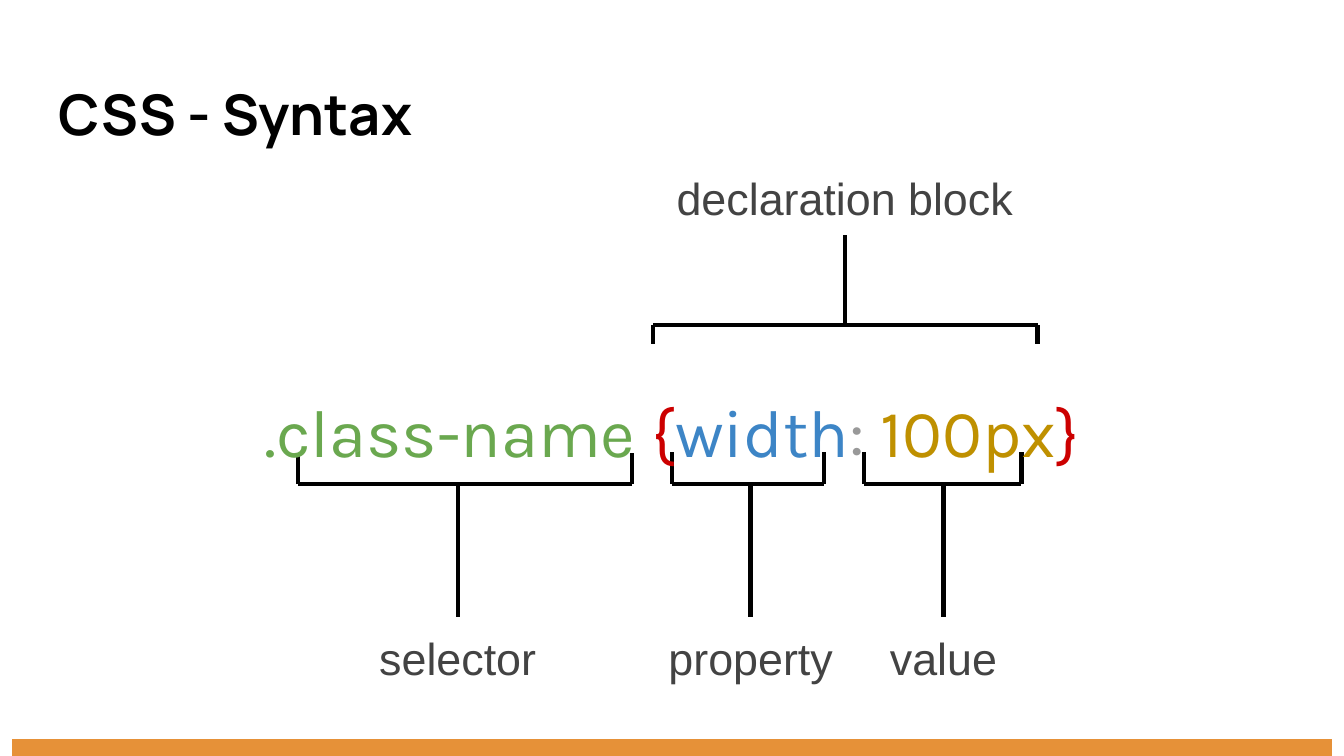
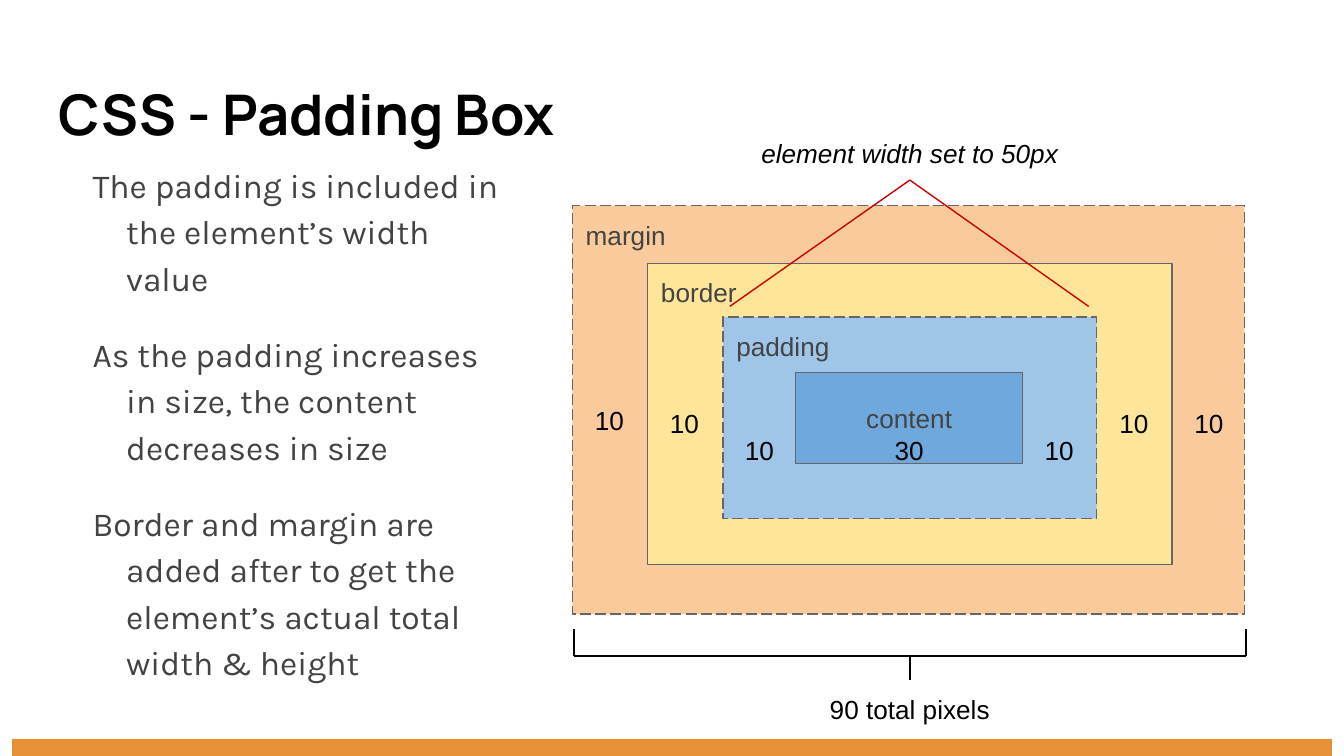
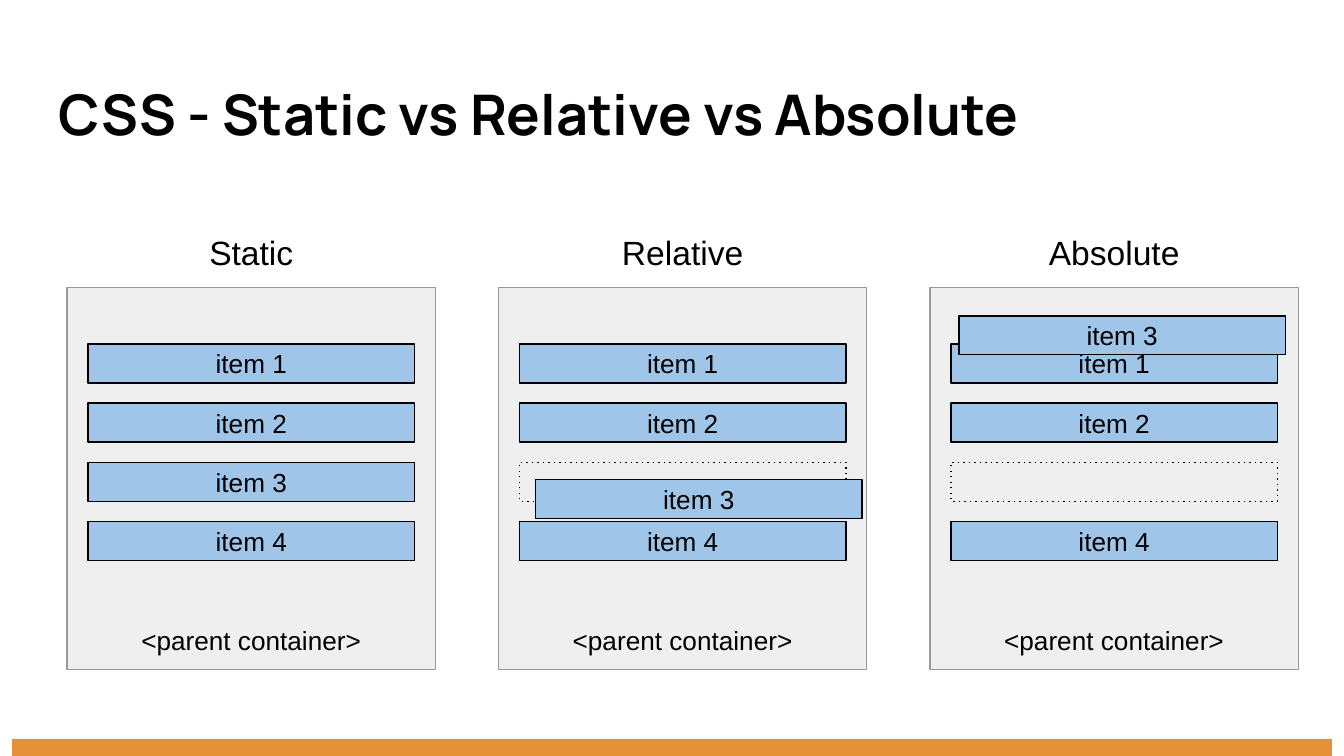
from dataclasses import dataclass

from lxml import etree
from pptx import Presentation
from pptx import util as u
from pptx.dml.color import RGBColor
from pptx.enum import shapes, text
from pptx.oxml import ns


@dataclass(frozen=True)
class Theme:
    black: str = "000000"
    body: str = "434343"
    accent: str = "E69138"
    edge: str = "666666"
    frame: str = "999999"
    panel: str = "EFEFEF"
    red: str = "CC0000"
    green: str = "6AA84F"
    blue: str = "3D85C6"
    gold: str = "BF9000"
    margin: str = "F9CB9C"
    border: str = "FFE599"
    padding: str = "9FC5E8"
    content: str = "6FA8DC"
    title_font: str = "Manrope"
    body_font: str = "Karla"
    label_font: str = "Arial"
    title_size: int = 30
    code_size: int = 36
    term_size: int = 24
    body_size: int = 18
    label_size: int = 14
    thick: float = 2.25
    thin: float = 0.75


T = Theme()
LEFT, CENTER = text.PP_ALIGN.LEFT, text.PP_ALIGN.CENTER
TOP, MIDDLE, BOTTOM = text.MSO_ANCHOR.TOP, text.MSO_ANCHOR.MIDDLE, text.MSO_ANCHOR.BOTTOM
SOLID, DASH, DOT = "solid", "lgDash", "dot"
TOP_SIDE, BOTTOM_SIDE = 0, 2

CODE = [
    (".class-name ", T.green),
    ("{", T.red),
    ("width", T.blue),
    (": ", T.frame),
    ("100px", T.gold),
    ("}", T.red),
]
TERMS = [
    ("selector", (2.41, 4.59, 1.99, 0.64), TOP_SIDE, (2.22, 4.7, 3.6, 3.37)),
    ("declaration block", (4.91, 1.17, 2.75, 0.58), BOTTOM_SIDE, (4.86, 7.72, 2.42, 2.56)),
    ("value", (6.44, 4.59, 1.16, 0.64), TOP_SIDE, (6.43, 7.6, 3.6, 3.36)),
    ("property", (4.66, 4.59, 1.85, 0.64), TOP_SIDE, (5, 6.13, 3.6, 3.36)),
]

PADDING_NOTES = [
    "The padding is included in the element’s width value",
    "As the padding increases in size, the content decreases in size",
    "Border and margin are added after to get the element’s actual total width & height",
]
LAYERS = [
    ("margin", (4.26, 1.53, 5, 3.04), T.margin, DASH, LEFT, TOP),
    ("border", (4.82, 1.96, 3.9, 2.24), T.border, SOLID, LEFT, TOP),
    ("padding", (5.38, 2.36, 2.78, 1.5), T.padding, DASH, LEFT, TOP),
    ("content", (5.92, 2.77, 1.69, 0.68), T.content, SOLID, CENTER, MIDDLE),
]
WIDTHS = [
    ("10", 0, 2.91),
    ("10", 1, 2.93),
    ("10", 2, 3.13),
    ("30", 4, 3.13),
    ("10", 6, 3.13),
    ("10", 7, 2.93),
    ("10", 8, 2.93),
]

POSITIONS = [("Static", None), ("Relative", (0.12, 0.13)), ("Absolute", (0.06, -1.09))]
ITEMS = ["item 1", "item 2", "item 3", "item 4"]
MOVED = "item 3"


def rgb(color):
    return RGBColor.from_string(color)


def inches(values):
    return [u.Inches(value) for value in values]


def write(box, paragraphs, font, size, align=LEFT, anchor=TOP, bold=None, italic=None,
          spacing=None, after=None, hanging=False):
    frame = box.text_frame
    frame.word_wrap = True
    frame.vertical_anchor = anchor
    frame.margin_left = frame.margin_right = u.Inches(0.1)
    frame.margin_top = frame.margin_bottom = u.Inches(0.1)
    for index, runs in enumerate(paragraphs):
        para = frame.add_paragraph() if index else frame.paragraphs[0]
        para.alignment = align
        if spacing:
            para.line_spacing = spacing
        if after:
            para.space_after = u.Pt(after)
        if hanging:
            properties = para._p.get_or_add_pPr()
            properties.set("marL", str(u.Inches(0.5)))
            properties.set("indent", str(u.Inches(-0.25)))
        for words, color in runs:
            span = para.add_run()
            span.text = words
            span.font.name = font
            span.font.size = u.Pt(size)
            span.font.bold = bold
            span.font.italic = italic
            span.font.color.rgb = rgb(color)


def add_text(page, at, paragraphs, font, size, **style):
    box = page.shapes.add_textbox(*inches(at))
    write(box, paragraphs, font, size, **style)
    return box


def add_label(page, at, words, size=T.label_size, color=T.black, **style):
    return add_text(page, at, [[(words, color)]], T.label_font, size, align=CENTER, **style)


def add_rect(parent, at, fill=None, edge=None, dash=SOLID, words=None, color=T.black,
             align=CENTER, anchor=MIDDLE):
    box = parent.shapes.add_shape(shapes.MSO_SHAPE.RECTANGLE, *inches(at))
    box.shadow.inherit = False
    if fill:
        box.fill.solid()
        box.fill.fore_color.rgb = rgb(fill)
    else:
        box.fill.background()
    if edge:
        box.line.color.rgb = rgb(edge)
        box.line.width = u.Pt(T.thin)
        outline = box._element.spPr.find(ns.qn("a:ln"))
        etree.SubElement(outline, ns.qn("a:prstDash"), val=dash)
    else:
        box.line.fill.background()
    if words:
        write(box, [[(words, color)]], T.label_font, T.label_size, align=align, anchor=anchor)
    return box


def add_line(page, start, end, color=T.black, width=T.thin):
    line = page.shapes.add_connector(shapes.MSO_CONNECTOR.STRAIGHT, *inches(start + end))
    line.line.color.rgb = rgb(color)
    line.line.width = u.Pt(width)
    etree.SubElement(line._element.spPr, ns.qn("a:effectLst"))
    return line


def add_bracket(page, span, label, side, width):
    left, right, bar, tip = span
    stem = (label.left + label.width / 2) / u.Inches(1)
    add_line(page, (left, bar), (right, bar), width=width)
    for end in (left, right):
        add_line(page, (end, bar), (end, tip), width=width)
    add_line(page, (stem, bar), (stem, bar), width=width).end_connect(label, side)


def add_page(deck, title):
    page = deck.slides.add_slide(deck.slide_layouts[6])
    add_rect(page, (0.09, 5.5, 9.82, 0.13), T.accent)
    add_text(page, (0.34, 0.49, 9.32, 0.68), [[(title, T.black)]],
             T.title_font, T.title_size, bold=True)
    return page


def syntax_page(deck):
    page = add_page(deck, "CSS - Syntax")
    for words, at, side, span in TERMS:
        label = add_label(page, at, words, T.term_size, T.body)
        add_bracket(page, span, label, side, T.thick)
    add_text(page, (0.34, 2.9, 9.32, 0.52), [CODE], T.body_font, T.code_size,
             align=CENTER, anchor=MIDDLE, spacing=1.15, after=16)


def padding_page(deck):
    page = add_page(deck, "CSS - Padding Box")
    add_text(page, (0.34, 1.26, 3.51, 3.74), [[(note, T.body)] for note in PADDING_NOTES],
             T.body_font, T.body_size, anchor=MIDDLE, spacing=1.15, after=16, hanging=True)
    for words, at, fill, dash, align, anchor in LAYERS:
        add_rect(page, at, fill, T.edge, dash, words, T.body, align, anchor)
    for value, column, top in WIDTHS:
        add_label(page, (4.26 + 4.46 / 8 * column, top, 0.55, 0.4), value)
    total = add_label(page, (5.68, 5.06, 2.18, 0.4), "90 total pixels")
    add_bracket(page, (4.27, 9.27, 4.88, 4.68), total, TOP_SIDE, T.thin)
    caption = add_label(page, (5.55, 0.94, 2.44, 0.4), "element width set to 50px",
                        anchor=MIDDLE, italic=True)
    for corner in (5.43, 8.1):
        ray = add_line(page, (6.77, 1.34), (corner, 2.28), T.red)
        ray.begin_connect(caption, BOTTOM_SIDE)


def position_page(deck):
    page = add_page(deck, "CSS - Static vs Relative vs Absolute")
    width, height = 2.74, 2.84
    item_width, item_height = 2.43, 0.29
    for column, (name, shift) in enumerate(POSITIONS):
        left = 0.5 + 3.21 * column
        group = page.shapes.add_group_shape()
        add_rect(group, (left, 2.14, width, height), T.panel, T.frame,
                 words="<parent container>", anchor=BOTTOM)
        item_left = left + (width - item_width) / 2
        for row, item in enumerate(ITEMS):
            slot = (item_left, 2.56 + 0.44 * row, item_width, item_height)
            if shift and item == MOVED:
                add_rect(group, slot, edge=T.black, dash=DOT)
                moved_at = (slot[0] + shift[0], slot[1] + shift[1], item_width, item_height)
            else:
                add_rect(group, slot, T.padding, T.black, words=item)
        if shift:
            add_rect(group, moved_at, T.padding, T.black, words=MOVED)
        add_label(page, (left + (width - 1.24) / 2, 1.66, 1.24, 0.43), name,
                  T.body_size, anchor=MIDDLE)


def main():
    deck = Presentation()
    deck.slide_width = u.Inches(10)
    deck.slide_height = deck.slide_width * 9 // 16
    syntax_page(deck)
    padding_page(deck)
    position_page(deck)
    deck.save("out.pptx")


if __name__ == "__main__":
    main()
